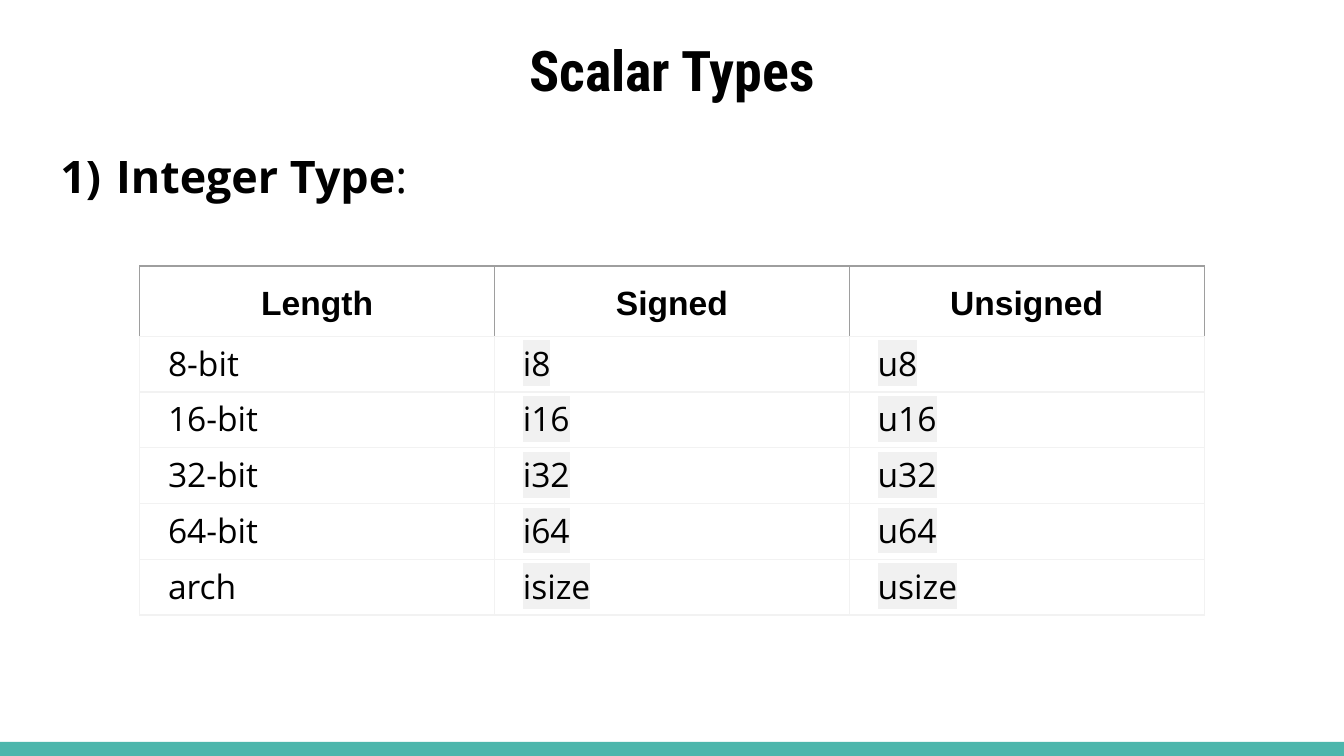
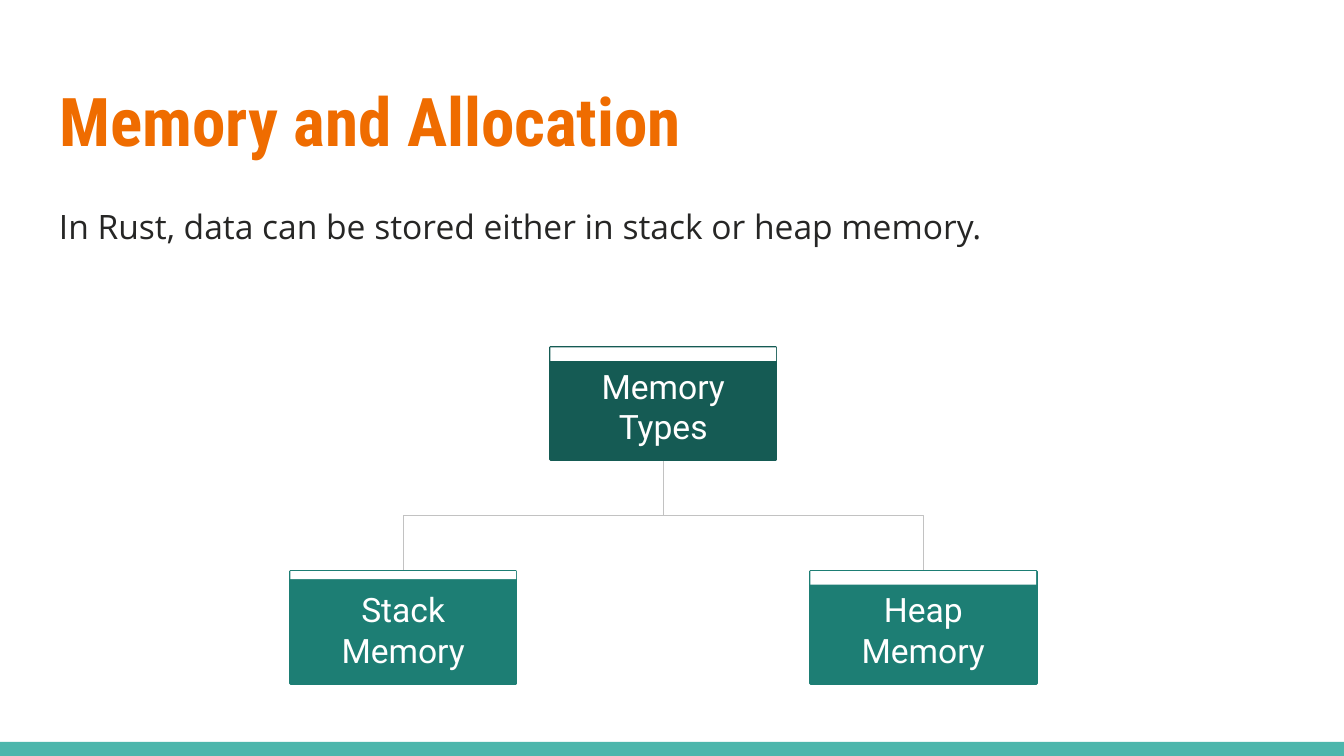
from dataclasses import dataclass
from typing import Optional

from lxml import etree
from pptx import Presentation
from pptx.dml.color import RGBColor as RGB
from pptx.enum.shapes import MSO_CONNECTOR as CONN, MSO_SHAPE as SHAPE
from pptx.enum.text import MSO_ANCHOR as ANCHOR, MSO_AUTO_SIZE as AUTOSIZE, PP_ALIGN as ALIGN
from pptx.oxml.ns import qn
from pptx.util import Emu, Pt

PX = 4572  # EMU per px, 200 px to the inch


def px(n: float) -> Emu:
    return Emu(round(n * PX))


# ---- theme ----
@dataclass(frozen=True)
class Style:
    font: str
    size: int
    color: str
    bold: bool = False


@dataclass(frozen=True)
class Theme:
    white: str = "FFFFFF"
    band: str = "4DB6AC"
    root: str = "155B54"
    leaf: str = "1D7E74"
    wire: str = "C2C2C2"
    head_border: str = "9E9E9E"
    cell_border: str = "F2F2F2"
    code_mark: str = "F1F1F1"
    hairline: float = 0.75
    outline: float = 1.5
    title: Style = Style("Roboto Condensed", 30, "000000", True)
    big_title: Style = Style("Roboto Condensed", 36, "EF6C00", True)
    heading: Style = Style("Open Sans", 24, "000000", True)
    body: Style = Style("Open Sans", 18, "262625")
    table_head: Style = Style("Arial", 18, "000000", True)
    table_cell: Style = Style("Open Sans", 18, "000000")
    node: Style = Style("Roboto", 18, "FFFFFF")


T = Theme()


@dataclass(frozen=True)
class Box:
    x: int
    y: int
    w: int
    h: int

    def emu(self) -> tuple:
        return px(self.x), px(self.y), px(self.w), px(self.h)

    @property
    def center(self) -> float:
        return self.x + self.w / 2


@dataclass(frozen=True)
class Node:
    text: str
    box: Box
    color: str
    strip: int  # height of the white strip on top


SLIDE = Box(0, 0, 2000, 1125)
BAND = Box(0, 1104, 2000, 21)
INSET = 20


# ---- shared helpers ----
def set_font(font, style: Style) -> None:
    font.name, font.size, font.bold = style.font, Pt(style.size), style.bold
    font.color.rgb = RGB.from_string(style.color)


def set_insets(obj, dx: int = INSET, dy: int = INSET) -> None:
    """Set the margins of a text frame or a table cell."""
    obj.margin_left = obj.margin_right = px(dx)
    obj.margin_top = obj.margin_bottom = px(dy)


def write(tf, text: str, style: Style, align=ALIGN.LEFT, spacing: Optional[float] = None):
    p = tf.paragraphs[0]
    p.alignment = align
    if spacing:
        p.line_spacing = spacing
    r = p.add_run()
    r.text = text
    set_font(p.font, style)
    return r


def prepare(tf, anchor=ANCHOR.TOP) -> None:
    tf.word_wrap = True
    tf.auto_size = AUTOSIZE.NONE
    tf.vertical_anchor = anchor
    set_insets(tf)


def add_rect(shapes, box: Box, fill: str, line: Optional[str] = None):
    sp = shapes.add_shape(SHAPE.RECTANGLE, *box.emu())
    sp.shadow.inherit = False
    sp.fill.solid()
    sp.fill.fore_color.rgb = RGB.from_string(fill)
    if line:
        sp.line.color.rgb = RGB.from_string(line)
        sp.line.width = Pt(T.outline)
    else:
        sp.line.fill.background()
    return sp


def add_text_box(s, box: Box):
    tf = s.shapes.add_textbox(*box.emu()).text_frame
    prepare(tf)
    return tf


def new_slide(prs, title: str, box: Box, style: Style, align=ALIGN.LEFT):
    """Title-only slide with the bottom band and a placed title."""
    s = prs.slides.add_slide(prs.slide_layouts[5])
    add_rect(s.shapes, BAND, T.band)
    sp = s.shapes.title
    sp.left, sp.top, sp.width, sp.height = box.emu()
    prepare(sp.text_frame)
    write(sp.text_frame, title, style, align)
    return s


# ---- table ----
def set_borders(cell, side: str, bottom: str) -> None:
    tc_pr = cell._tc.get_or_add_tcPr()
    colors = {"lnL": side, "lnR": side, "lnT": side, "lnB": bottom}
    for tag, color in colors.items():
        ln = etree.SubElement(tc_pr, qn(f"a:{tag}"), w=str(Pt(T.hairline)))
        fill = etree.SubElement(ln, qn("a:solidFill"))
        etree.SubElement(fill, qn("a:srgbClr"), val=color)


def highlight(r, color: str) -> None:
    mark = etree.SubElement(r._r.get_or_add_rPr(), qn("a:highlight"))
    etree.SubElement(mark, qn("a:srgbClr"), val=color)


def add_type_table(s, x: int, y: int, col_w: int, row_h: int, rows: list) -> None:
    n_rows, n_cols = len(rows), len(rows[0])
    box = Box(x, y, col_w * n_cols, row_h * n_rows)
    table = s.shapes.add_table(n_rows, n_cols, *box.emu()).table
    table.first_row = table.horz_banding = False
    for col in table.columns:
        col.width = px(col_w)
    for i, row in enumerate(rows):
        table.rows[i].height = px(row_h)
        for j, text in enumerate(row):
            cell = table.cell(i, j)
            set_borders(cell, T.cell_border if i else T.head_border, T.cell_border)
            cell.fill.background()
            if i == 0:
                set_insets(cell)
                write(cell.text_frame, text, T.table_head, ALIGN.CENTER, 1.15)
                continue
            set_insets(cell, 42, 6)
            r = write(cell.text_frame, text, T.table_cell)
            if j:
                highlight(r, T.code_mark)


# ---- tree ----
def add_node(s, node: Node) -> None:
    shapes = s.shapes.add_group_shape().shapes
    sp = add_rect(shapes, node.box, node.color, node.color)
    prepare(sp.text_frame, ANCHOR.BOTTOM)
    write(sp.text_frame, node.text, T.node, ALIGN.CENTER)
    add_rect(shapes, Box(node.box.x, node.box.y, node.box.w, node.strip), T.white)


def add_branch(s, parent: Box, child: Box) -> None:
    """Elbow that leaves the parent downwards: a level elbow turned by 270 degrees."""
    top, bottom = parent.y + parent.h, child.y
    run, span = bottom - top, abs(child.center - parent.center)
    mid_x, mid_y = (parent.center + child.center) / 2, (top + bottom) / 2
    x1, x2 = mid_x - run / 2, mid_x + run / 2
    if child.center > parent.center:
        x1, x2 = x2, x1
    c = s.shapes.add_connector(CONN.ELBOW, px(x1), px(mid_y - span / 2),
                               px(x2), px(mid_y + span / 2))
    c.line.color.rgb = RGB.from_string(T.wire)
    c.line.width = Pt(T.hairline)
    sp_pr = c._element.spPr
    sp_pr.find(qn("a:xfrm")).set("rot", str(270 * 60000))
    etree.SubElement(sp_pr, qn("a:effectLst"))


# ---- slides ----
def scalar_types(prs) -> None:
    s = new_slide(prs, "Scalar Types", Box(68, 33, 1864, 126), T.title, ALIGN.CENTER)

    # Numbered heading
    p = add_text_box(s, Box(53, 162, 1864, 930)).paragraphs[0]
    p.line_spacing = 1.5
    p_pr = p._p.get_or_add_pPr()
    p_pr.set("marL", str(px(100)))
    p_pr.set("indent", str(px(-83)))
    color = etree.SubElement(p_pr, qn("a:buClr"))
    etree.SubElement(color, qn("a:srgbClr"), val=T.heading.color)
    etree.SubElement(p_pr, qn("a:buAutoNum"), type="arabicParenR")
    for text, bold in (("Integer Type", True), (":", False)):
        r = p.add_run()
        r.text = text
        set_font(r.font, T.heading)
        r.font.bold = bold

    # Integer lengths
    sizes = [("8-bit", "8"), ("16-bit", "16"), ("32-bit", "32"),
             ("64-bit", "64"), ("arch", "size")]
    rows = [("Length", "Signed", "Unsigned")]
    rows += [(length, f"i{size}", f"u{size}") for length, size in sizes]
    add_type_table(s, 208, 396, 528, 83, rows)


def memory(prs) -> None:
    s = new_slide(prs, "Memory and Allocation", Box(68, 98, 1864, 154), T.big_title)
    write(add_text_box(s, Box(68, 277, 1864, 166)),
          "In Rust, data can be stored either in stack or heap memory.",
          T.body, spacing=1.15)

    # Tree of memory types
    w, h = 336, 167
    root = Node("Memory Types", Box(819, 517, w, h), T.root, 20)
    leaves = [Node("Stack Memory", Box(432, 850, w, h), T.leaf, 12),
              Node("Heap Memory", Box(1206, 850, w, h), T.leaf, 20)]
    for leaf in leaves:
        add_branch(s, root.box, leaf.box)
    for node in (root, *leaves):
        add_node(s, node)


def main() -> None:
    prs = Presentation()
    prs.slide_width, prs.slide_height = px(SLIDE.w), px(SLIDE.h)
    scalar_types(prs)
    memory(prs)
    prs.save("out.pptx")


if __name__ == "__main__":
    main()
